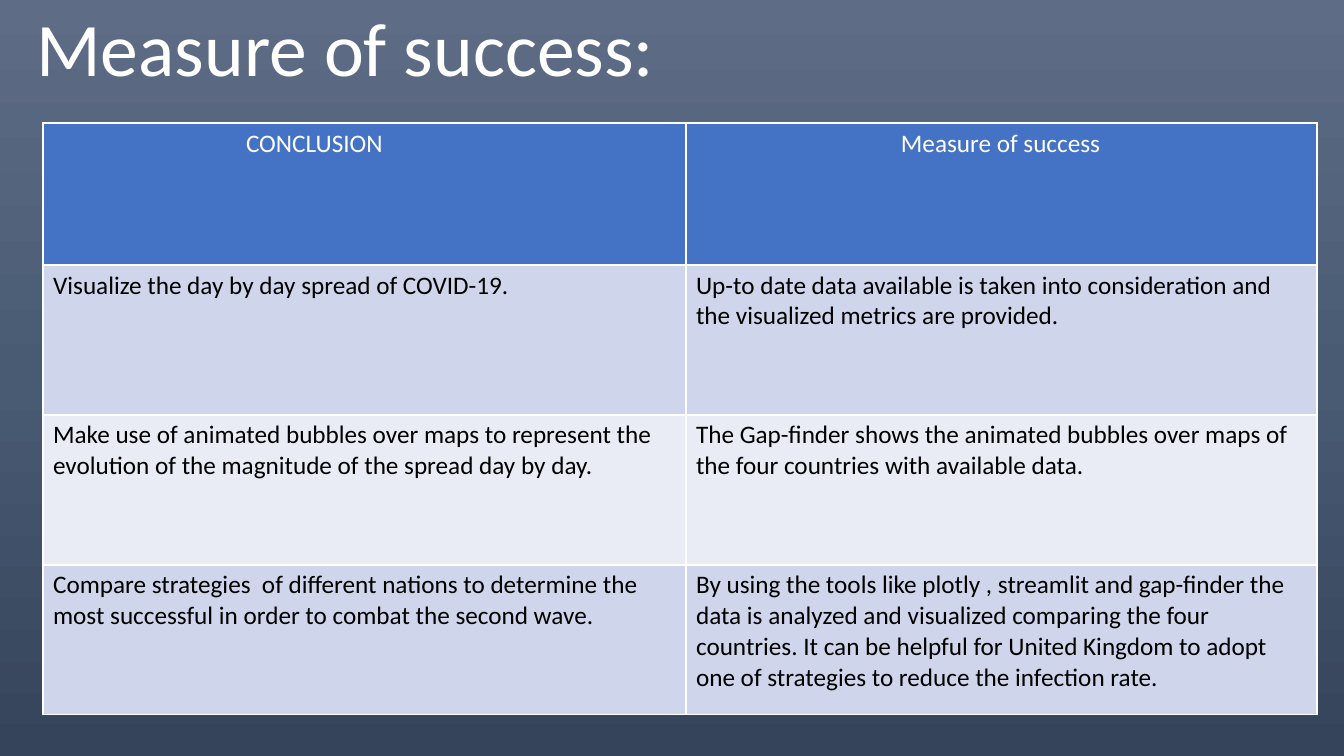
from copy import deepcopy

from lxml import etree
from pptx import Presentation
from pptx import util as u
from pptx.dml import color
from pptx.enum import text
from pptx.oxml import ns

SCALE = 914400 / 100.8
FONT = "Calibri"
HUES = {
    "top": "5E6D85", "mid": "495A73", "base": "35445A",
    "white": "FFFFFF", "black": "000000",
    "head": "4472C4", "dark": "CFD5EA", "light": "E9EBF5",
}
HEADS = ["CONCLUSION", "Measure of success"]
INSETS = [203, 215]
ROWS = [
    ["Visualize the day by day spread of COVID-19.",
     "Up-to date data available is taken into consideration and "
     "the visualized metrics are provided."],
    ["Make use of animated bubbles over maps to represent the "
     "evolution of the magnitude of the spread day by day.",
     "The Gap-finder shows the animated bubbles over maps of "
     "the four countries with available data."],
    ["Compare strategies  of different nations to determine the "
     "most successful in order to combat the second wave.",
     "By using the tools like plotly , streamlit and gap-finder the "
     "data is analyzed and visualized comparing the four countries. "
     "It can be helpful for United Kingdom to adopt one of "
     "strategies to reduce the infection rate."],
]


def px(num):
    """Turn pixels into EMU."""
    return u.Emu(round(num * SCALE))


def rgb(name):
    """Look up a named colour."""
    return color.RGBColor.from_string(HUES[name])


def style(para, size, hue):
    """Set the font of a paragraph."""
    font = para.font
    font.name, font.size, font.bold = FONT, u.Pt(size), False
    font.color.rgb = rgb(hue)


def paint(slide):
    """Fill the background with a three-stop vertical gradient."""
    fill = slide.background.fill
    fill.gradient()
    fill.gradient_angle = 270
    stops = next(slide.element.iter(ns.qn("a:gsLst")))
    stops.insert(1, deepcopy(stops[0]))
    for stop, place, hue in zip(fill.gradient_stops, (0, 0.5, 1),
                                ("top", "mid", "base")):
        stop.position = place
        stop.color.rgb = rgb(hue)


def title(slide, box, words):
    """Place the slide title in its box."""
    frame = slide.shapes.add_textbox(*map(px, box)).text_frame
    frame.word_wrap = True
    frame.vertical_anchor = text.MSO_ANCHOR.BOTTOM
    para = frame.paragraphs[0]
    para.text = words
    para.alignment = text.PP_ALIGN.CENTER
    para.line_spacing = 0.9
    style(para, 54, "white")


def edge(cell):
    """Draw thin white borders around a cell."""
    props = cell._tc.get_or_add_tcPr()
    for side in "LRTB":
        line = etree.SubElement(props, ns.qn("a:ln" + side), w=str(u.Pt(1)))
        fill = etree.SubElement(line, ns.qn("a:solidFill"))
        etree.SubElement(fill, ns.qn("a:srgbClr"), val=HUES["white"])


def write(cell, words, back, hue):
    """Fill one cell with text and colour."""
    edge(cell)
    cell.fill.solid()
    cell.fill.fore_color.rgb = rgb(back)
    para = cell.text_frame.paragraphs[0]
    para.text = words
    style(para, 18, hue)


def table(slide, box, split, top):
    """Place the table; split is the first column, top the header height."""
    left, y, wide, high = box
    grid = slide.shapes.add_table(len(ROWS) + 1, len(HEADS),
                                  *map(px, box)).table
    for col, size in zip(grid.columns, (split, wide - split)):
        col.width = px(size)
    for num, row in enumerate(grid.rows):
        row.height = px((high - top) / len(ROWS) if num else top)
    for num, (head, inset) in enumerate(zip(HEADS, INSETS)):
        cell = grid.cell(0, num)
        write(cell, head, "head", "white")
        cell.margin_left = px(inset)
    for num, row in enumerate(ROWS, 1):
        for col, words in enumerate(row):
            write(grid.cell(num, col), words,
                  "dark" if num % 2 else "light", "black")


def main():
    """Build and save the slide."""
    deck = Presentation()
    deck.slide_width, deck.slide_height = px(1344), px(756)
    slide = deck.slides.add_slide(deck.slide_layouts[6])
    paint(slide)
    title(slide, (20, 14, 651, 84), "Measure of success:")
    table(slide, (43, 123, 1274, 592), 643, 142)
    deck.save("out.pptx")


main()
